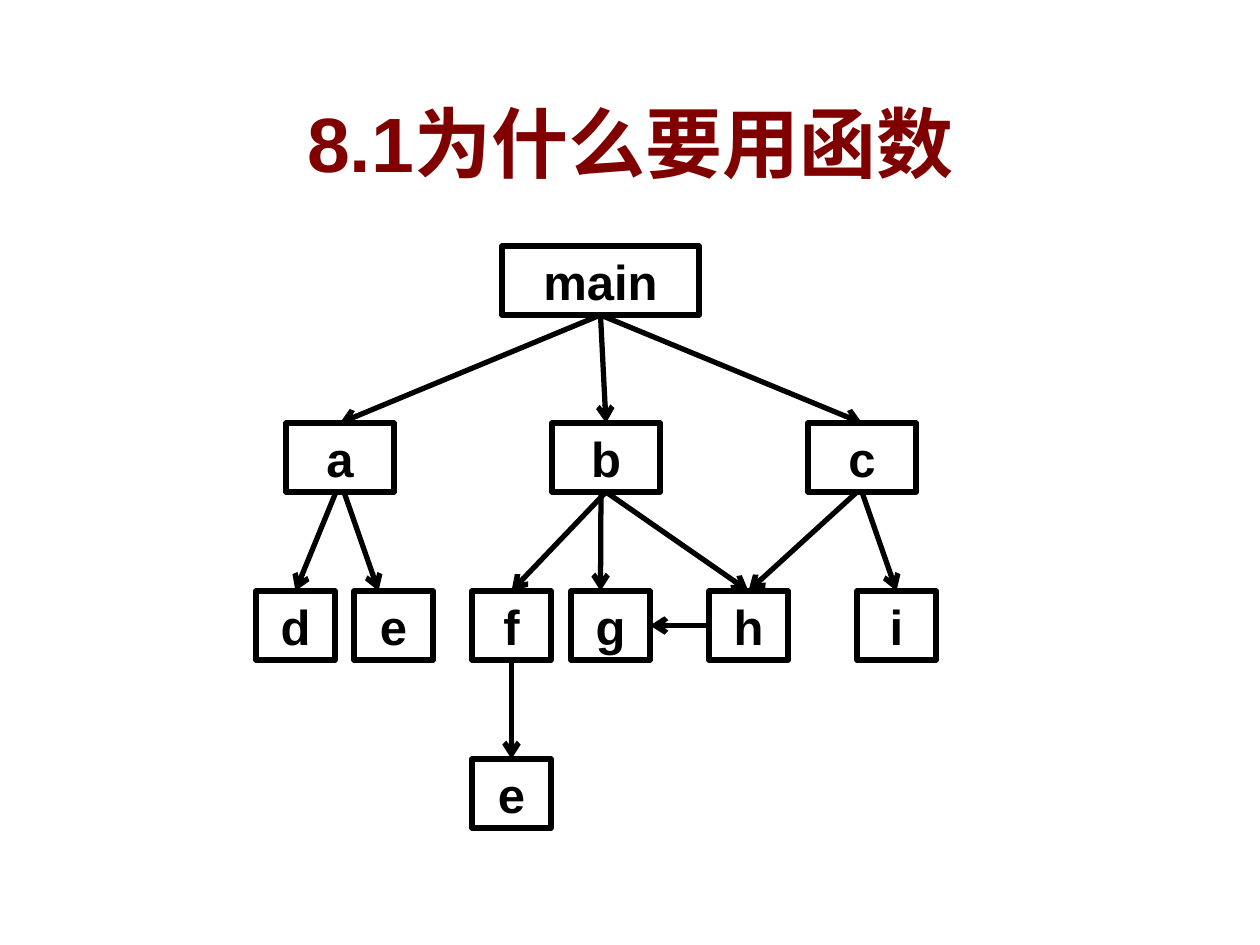
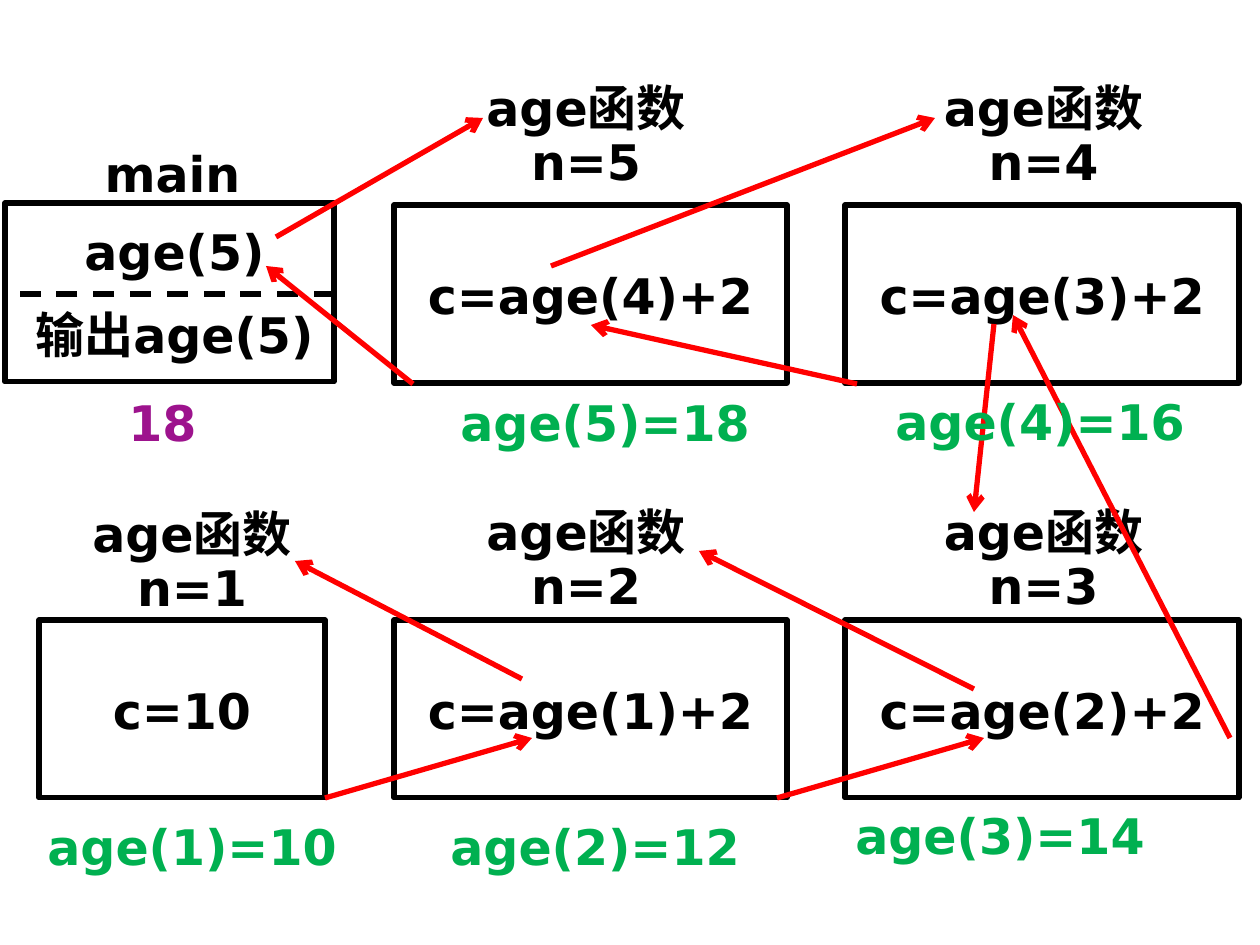
"""Build two slides: a function call tree and the trace of a recursive function."""
from dataclasses import dataclass

from lxml import etree
from pptx import Presentation
from pptx.dml.color import RGBColor
from pptx.enum import dml, shapes, text
from pptx.oxml import ns
from pptx.util import Emu, Pt


@dataclass(frozen=True)
class Theme:
    """Colours, fonts and sizes shared by the slides."""
    ink: str = "000000"
    paper: str = "FFFFFF"
    heading: str = "800000"
    title_shadow: str = "C0C0C0"
    flow: str = "FF0000"
    result: str = "00B050"
    output: str = "9D138D"
    tree_font: str = "Arial"
    trace_font: str = "DejaVu Sans"
    title_size: int = 44
    body_size: int = 28
    line: int = 3


THEME = Theme()
EMU_PER_PX = 914400 / 126
SLIDE = (1260, 945)

TITLE = "8.1为什么要用函数"
TITLE_AREA = (20, 89, 1221, 106)
NODE_HEIGHT = 69
TREE_LEVELS = [
    (246, 197, [("main", "main", 502)]),
    (423, 108, [("a", "a", 286), ("b", "b", 552), ("c", "c", 808)]),
    (591, 79, [("d", "d", 256), ("e", "e", 354), ("f", "f", 472),
               ("g", "g", 571), ("h", "h", 709), ("i", "i", 857)]),
    (759, 79, [("e under f", "e", 472)]),
]
TREE_CALLS = [
    ("main", "a", 0, 0), ("main", "b", 0, 0), ("main", "c", 0, 0),
    ("a", "d", -4, 0), ("a", "e", 4, -15),
    ("b", "f", 0, 0), ("b", "g", -5, -10), ("b", "h", 0, 0),
    ("c", "h", -5, 0), ("c", "i", 0, 0),
    ("f", "e under f", 0, 0), ("h", "g", 0, 0),
]

MAIN_FRAME = (5, 203, 329, 179)
MAIN_LABEL = ("main", (69, 126, 207, 88))
MAIN_STEPS = (["age(5)", "输出age(5)"], (10, 204, 329, 179))
MAIN_DIVIDER = ((335, 294), (10, 294))
MAIN_OUTPUT = ("18", (49, 403, 227, 60))
RESULT_SIZE = (384, 78)
TRACE = [
    (5, "c=age(4)+2", (394, 205, 393, 178), (394, 88, 384, 126), 18, (413, 403)),
    (4, "c=age(3)+2", (845, 205, 394, 178), (847, 88, 393, 126), 16, (848, 402)),
    (3, "c=age(2)+2", (845, 620, 394, 178), (847, 512, 393, 106), 14, (808, 816)),
    (2, "c=age(1)+2", (394, 620, 393, 178), (394, 512, 384, 106), 12, (403, 827)),
    (1, "c=10", (39, 620, 286, 178), (0, 514, 384, 106), 10, (0, 827)),
]
DESCENT = [
    ((276, 237), (483, 118)), ((551, 266), (935, 118)), ((994, 324), (974, 512)),
    ((974, 689), (699, 551)), ((522, 679), (295, 561)),
]
RETURN = [
    ((325, 798), (532, 738)), ((777, 798), (984, 738)), ((1230, 738), (1013, 315)),
    ((857, 384), (591, 325)), ((413, 384), (266, 266)),
]

LOOSE = dict(spacing=1.2, before=7, hanging=48)
TIGHT = dict(LOOSE, spacing=Pt(24))


def px(*lengths):
    """Turn pixel lengths into EMU."""
    return [Emu(round(length * EMU_PER_PX)) for length in lengths]


def write(shape, lines, *, font=THEME.trace_font, size=THEME.body_size, color=THEME.ink,
          anchor=text.MSO_ANCHOR.TOP, wrap=True, insets=(13, 6, 13, 6),
          spacing=None, before=None, hanging=0, shadow=False):
    """Fill a shape with bold centred paragraphs."""
    frame = shape.text_frame
    frame.word_wrap, frame.vertical_anchor = wrap, anchor
    (frame.margin_left, frame.margin_top,
     frame.margin_right, frame.margin_bottom) = px(*insets)
    frame.text = "\n".join(lines)
    for paragraph in frame.paragraphs:
        paragraph.alignment = text.PP_ALIGN.CENTER
        if spacing:
            paragraph.line_spacing = spacing
        if before:
            paragraph.space_before = Pt(before)
        if hanging:
            indent = px(hanging)[0]
            properties = paragraph._p.get_or_add_pPr()
            properties.set("marL", str(indent))
            properties.set("indent", str(-indent))
        for run in paragraph.runs:
            run.font.name, run.font.size, run.font.bold = font, Pt(size), True
            run.font.color.rgb = RGBColor.from_string(color)
            if shadow:
                cast_shadow(run)


def cast_shadow(run):
    """Put a soft grey shadow behind the letters of a run."""
    effects = etree.Element(ns.qn("a:effectLst"))
    outer = etree.SubElement(effects, ns.qn("a:outerShdw"),
                             dist="38100", dir="2700000")
    etree.SubElement(outer, ns.qn("a:srgbClr"), val=THEME.title_shadow)
    run.font._element.find(ns.qn("a:solidFill")).addnext(effects)


def add_label(slide, lines, area, **style):
    """Add text without a frame."""
    write(slide.shapes.add_textbox(*px(*area)), lines, **style)


def add_frame(slide, area, kind=shapes.MSO_SHAPE.RECTANGLE, fill=None):
    """Add an outlined box and return it."""
    box = slide.shapes.add_shape(kind, *px(*area))
    box.shadow.inherit = False
    if fill:
        box.fill.solid()
        box.fill.fore_color.rgb = RGBColor.from_string(fill)
    else:
        box.fill.background()
    box.line.color.rgb = RGBColor.from_string(THEME.ink)
    box.line.width = Pt(THEME.line)
    return box


def add_line(slide, start, end, color=THEME.ink, arrow=True, dash=None):
    """Draw a straight line, with an arrowhead at its end if wanted."""
    line = slide.shapes.add_connector(shapes.MSO_CONNECTOR.STRAIGHT, *px(*start, *end))
    line.line.color.rgb = RGBColor.from_string(color)
    line.line.width = Pt(THEME.line)
    if dash:
        line.line.dash_style = dash
    properties = line._element.spPr
    if arrow:
        etree.SubElement(properties.find(ns.qn("a:ln")), ns.qn("a:tailEnd"), type="arrow")
    etree.SubElement(properties, ns.qn("a:effectLst"))


def build_call_tree(slide):
    """Draw the title and the tree of functions that call each other."""
    add_label(slide, [TITLE], TITLE_AREA, font=THEME.tree_font, size=THEME.title_size,
              color=THEME.heading, anchor=text.MSO_ANCHOR.MIDDLE, shadow=True)
    nodes = {}
    for top, width, level in TREE_LEVELS:
        for key, function, left in level:
            nodes[key] = (left, top, width)
            node = add_frame(slide, (left, top, width, NODE_HEIGHT),
                             shapes.MSO_SHAPE.FLOWCHART_PROCESS, THEME.paper)
            write(node, [function], font=THEME.tree_font, wrap=False,
                  insets=(0, 0, 0, 0), anchor=text.MSO_ANCHOR.MIDDLE)
    for caller, callee, start_shift, end_shift in TREE_CALLS:
        left, top, width = nodes[caller]
        to_left, to_top, to_width = nodes[callee]
        if top == to_top:
            middle = top + NODE_HEIGHT / 2
            add_line(slide, (left, middle), (to_left + to_width, middle))
        else:
            add_line(slide, (left + width / 2 + start_shift, top + NODE_HEIGHT),
                     (to_left + to_width / 2 + end_shift, to_top))


def build_recursion_trace(slide):
    """Draw each call of age, the way down and the way back."""
    add_frame(slide, MAIN_FRAME)
    steps, steps_area = MAIN_STEPS
    add_label(slide, steps, steps_area, **LOOSE)
    label, label_area = MAIN_LABEL
    add_label(slide, [label], label_area, **LOOSE)
    add_line(slide, *MAIN_DIVIDER, arrow=False, dash=dml.MSO_LINE.DASH)
    for n, body, frame, heading, _, _ in TRACE:
        write(add_frame(slide, frame), [body], insets=(13, 49, 13, 6), **LOOSE)
        add_label(slide, ["age函数", f"n={n}"], heading, **TIGHT)
    for start, end in DESCENT + RETURN:
        add_line(slide, start, end, THEME.flow)
    for n, _, _, _, value, corner in TRACE:
        add_label(slide, [f"age({n})={value}"], corner + RESULT_SIZE,
                  color=THEME.result, **TIGHT)
    output, output_area = MAIN_OUTPUT
    add_label(slide, [output], output_area, color=THEME.output, **TIGHT)


def main():
    """Build and save the presentation."""
    deck = Presentation()
    deck.slide_width, deck.slide_height = px(*SLIDE)
    for build in (build_call_tree, build_recursion_trace):
        build(deck.slides.add_slide(deck.slide_layouts[6]))
    deck.save("out.pptx")


if __name__ == "__main__":
    main()
